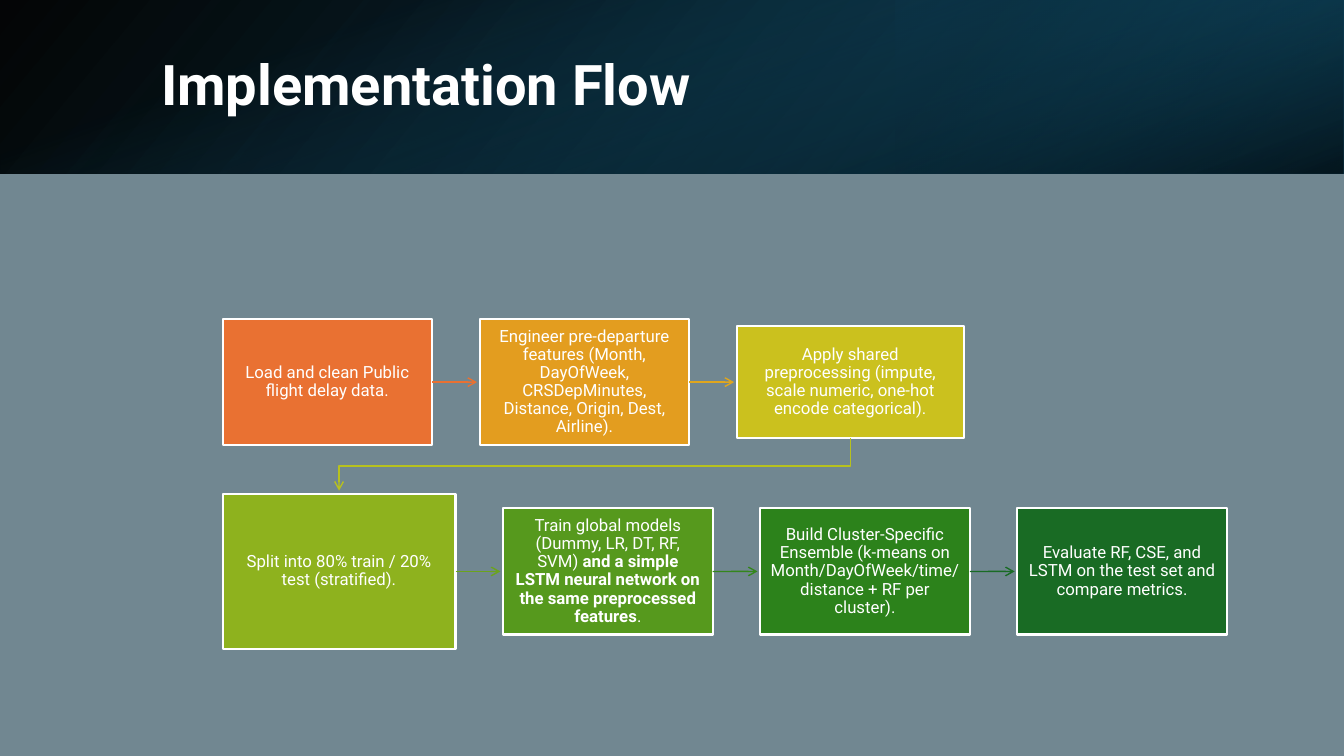
from lxml.etree import SubElement
from pptx import Presentation
from pptx.dml.color import RGBColor
from pptx.enum.shapes import MSO_CONNECTOR, MSO_SHAPE
from pptx.enum.text import MSO_ANCHOR, MSO_AUTO_SIZE, PP_ALIGN
from pptx.oxml.ns import qn
from pptx.util import Cm, Pt

SLIDE_WIDTH, SLIDE_HEIGHT = 33.87, 19.05
HEADER_HEIGHT = 4.37
STEP_GAP, ARROW_LENGTH = 1.2, 1.13
WHITE = "FFFFFF"

# Each step: width, height, fill, outgoing arrow colour, text runs (text, bold)
PREPARE_STEPS = [
    (5.28, 3.18, "E97132", "E97132", [("Load and clean Public flight delay data.", False)]),
    (5.28, 3.18, "E39D1F", "E0A61D", [
        ("Engineer pre-departure features (Month, DayOfWeek, CRSDepMinutes, "
         "Distance, Origin, Dest, Airline).", False)]),
    (5.72, 2.83, "CBC11E", None, [
        ("Apply shared preprocessing (impute, scale numeric, one-hot encode "
         "categorical).", False)]),
]
MODEL_STEPS = [
    (5.87, 3.91, "8EB21E", "6BA31D", [("Split into 80% train / 20% test (stratified).", False)]),
    (5.28, 3.18, "56991D", "34861C", [
        ("Train global models (Dummy, LR, DT, RF, SVM) ", False),
        ("and a simple LSTM neural network on the same preprocessed features", True),
        (".", False)]),
    (5.28, 3.18, "2C821B", "196B24", [
        ("Build Cluster-Specific Ensemble (k-means on Month/DayOfWeek/time/distance "
         "+ RF per cluster).", False)]),
    (5.28, 3.18, "196B24", None, [
        ("Evaluate RF, CSE, and LSTM on the test set and compare metrics.", False)]),
]


def color(hex_string):
    return RGBColor.from_string(hex_string)


def set_attributes(target, values):
    for name, value in values.items():
        setattr(target, name, value)


def add_text(paragraph, text, size, bold):
    run = paragraph.add_run()
    run.text = text
    set_attributes(run.font, {"name": "Roboto", "size": Pt(size), "bold": bold})
    run.font.color.rgb = color(WHITE)


def fill_gradient(shape, stops, angle):
    """Fill with (position, colour, opacity) stops, in percent."""
    shape.fill.gradient()
    gradient = shape._element.spPr.find(qn("a:gradFill"))
    for child in list(gradient):
        gradient.remove(child)
    stop_list = SubElement(gradient, qn("a:gsLst"))
    for position, hex_string, opacity in stops:
        stop = SubElement(stop_list, qn("a:gs"), pos=str(position * 1000))
        tint = SubElement(stop, qn("a:srgbClr"), val=hex_string)
        SubElement(tint, qn("a:alpha"), val=str(opacity * 1000))
    SubElement(gradient, qn("a:lin"), ang=str(angle * 60000), scaled="0")


def style_arrow(arrow, hex_string):
    arrow.line.color.rgb = color(hex_string)
    arrow.line.width = Pt(1)
    SubElement(arrow.line._get_or_add_ln(), qn("a:tailEnd"), type="arrow")


def add_header(slide, left, top, width, height):
    # Layered bands: box, rotation, mirrored, stops, angle
    middle_x, middle_y = left + width / 2, top + height / 2
    bands = [
        ((left, top, width, height), 0, True,
         [(0, "000000", 96), (100, "104862", 96)], 140),
        ((left + width * 2 / 3, top, width / 3, height), 180, True,
         [(19, "0B3041", 68), (100, "156082", 79)], 320),
        ((middle_x - height / 2, middle_y - width / 2, height, width), 90, False,
         [(23, "156082", 0), (99, "000000", 74)], 340),
    ]
    # Opacity of the first band runs from 96 to 100
    bands[0][3][1] = (100, "104862", 100)
    for box, rotation, mirrored, stops, angle in bands:
        band = slide.shapes.add_shape(MSO_SHAPE.RECTANGLE, *map(Cm, box))
        band.shadow.inherit = False
        band.line.fill.background()
        band.rotation = rotation
        if mirrored:
            band._element.spPr.xfrm.set("flipH", "1")
        fill_gradient(band, stops, angle)

    # Title, brought in front of the bands
    title = slide.shapes.title
    set_attributes(title, {"left": Cm(left + 3.81), "top": Cm(top + 0.97),
                           "width": Cm(27.89), "height": Cm(2.44)})
    set_attributes(title.text_frame, {"vertical_anchor": MSO_ANCHOR.MIDDLE,
                                      "auto_size": MSO_AUTO_SIZE.NONE, "word_wrap": True})
    paragraph = title.text_frame.paragraphs[0]
    set_attributes(paragraph, {"alignment": PP_ALIGN.LEFT, "line_spacing": 0.9,
                               "space_after": Pt(6)})
    add_text(paragraph, "Implementation Flow", 40, True)
    slide.shapes._spTree.append(title._element)


def add_step(slide, left, top, width, height, fill, runs):
    step = slide.shapes.add_shape(MSO_SHAPE.RECTANGLE, *map(Cm, (left, top, width, height)))
    step.shadow.inherit = False
    step.fill.solid()
    step.fill.fore_color.rgb = color(fill)
    step.line.color.rgb = color(WHITE)
    step.line.width = Pt(1.5)
    set_attributes(step.text_frame, {
        "word_wrap": True, "vertical_anchor": MSO_ANCHOR.MIDDLE,
        "margin_left": Cm(0.26), "margin_right": Cm(0.26),
        "margin_top": Cm(0.27), "margin_bottom": Cm(0.27)})
    paragraph = step.text_frame.paragraphs[0]
    set_attributes(paragraph, {"alignment": PP_ALIGN.CENTER, "line_spacing": 0.9})
    for text, bold in runs:
        add_text(paragraph, text, 12, bold)
    return step


def add_flow_row(slide, left, middle, steps):
    """Place steps from left to right around a middle line, joined by arrows."""
    boxes = []
    for width, height, fill, arrow_color, runs in steps:
        box = add_step(slide, left, middle - height / 2, width, height, fill, runs)
        boxes.append(box)
        right = left + width
        if arrow_color:
            arrow = slide.shapes.add_connector(
                MSO_CONNECTOR.STRAIGHT, Cm(right), Cm(middle),
                Cm(right + ARROW_LENGTH), Cm(middle))
            arrow.begin_connect(box, 3)
            style_arrow(arrow, arrow_color)
            SubElement(arrow._element.spPr, qn("a:effectLst"))
        left = right + STEP_GAP
    return boxes


def add_row_link(slide, upper, lower):
    """Bent arrow from the bottom of one step to just above another."""
    start_x = upper.left + upper.width // 2
    start_y = upper.top + upper.height
    end_x = lower.left + lower.width // 2
    turn_y = (start_y + lower.top) // 2
    builder = slide.shapes.build_freeform(start_x, start_y)
    builder.add_line_segments(
        [(start_x, turn_y), (end_x, turn_y), (end_x, lower.top - Cm(0.08))], close=False)
    link = builder.convert_to_shape()
    link.shadow.inherit = False
    link.fill.background()
    style_arrow(link, "B7C11E")


def add_flow(slide, left, top):
    first_row = add_flow_row(slide, left, top + 1.59, PREPARE_STEPS)
    second_row = add_flow_row(slide, left, top + 6.36, MODEL_STEPS)
    add_row_link(slide, first_row[-1], second_row[0])


def main():
    presentation = Presentation()
    set_attributes(presentation, {"slide_width": Cm(SLIDE_WIDTH),
                                  "slide_height": Cm(SLIDE_HEIGHT)})
    slide = presentation.slides.add_slide(presentation.slide_layouts[5])
    slide.background.fill.solid()
    slide.background.fill.fore_color.rgb = color("718791")
    add_header(slide, 0, 0, SLIDE_WIDTH, HEADER_HEIGHT)
    add_flow(slide, 5.61, 8.04)
    presentation.save("out.pptx")


if __name__ == "__main__":
    main()
